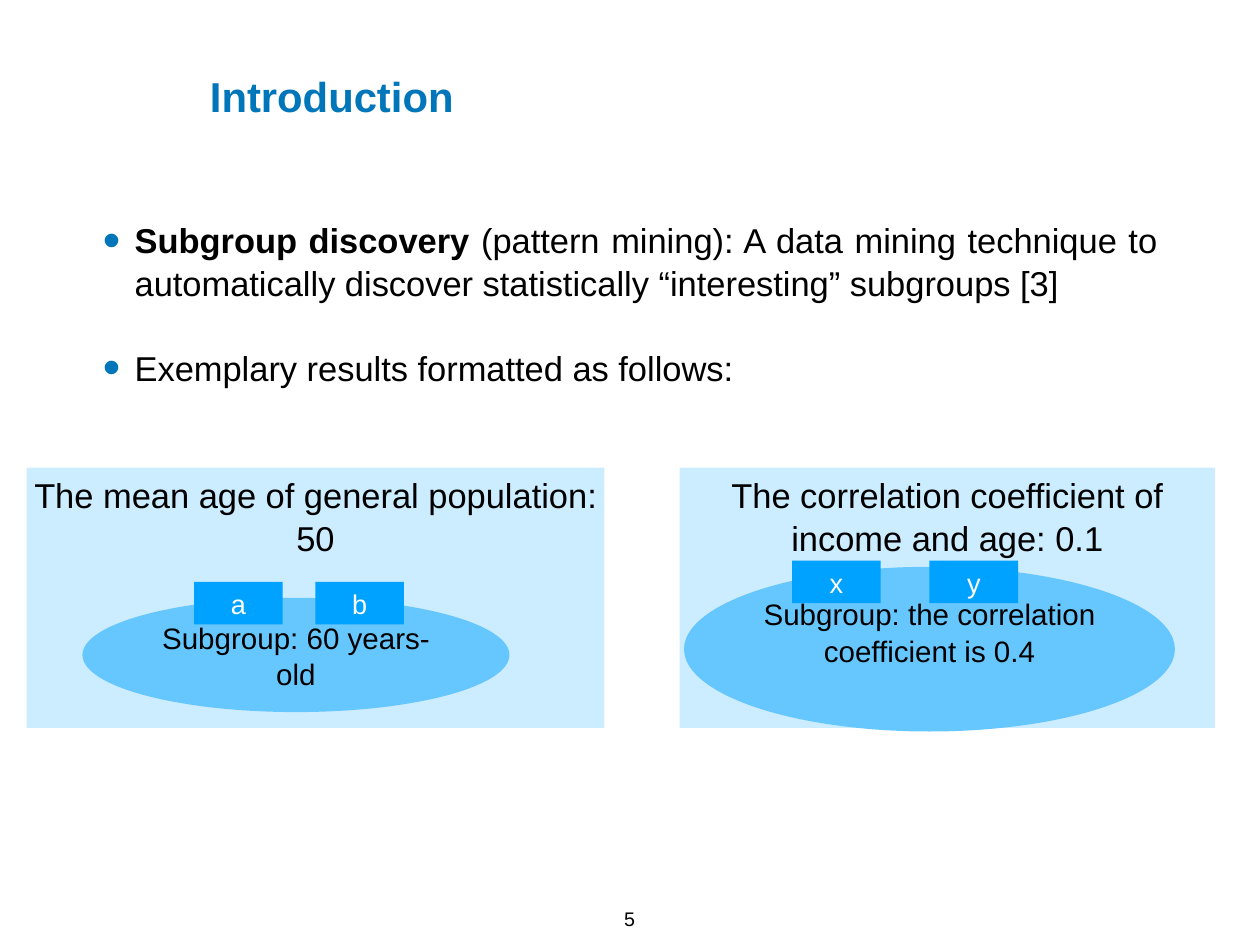
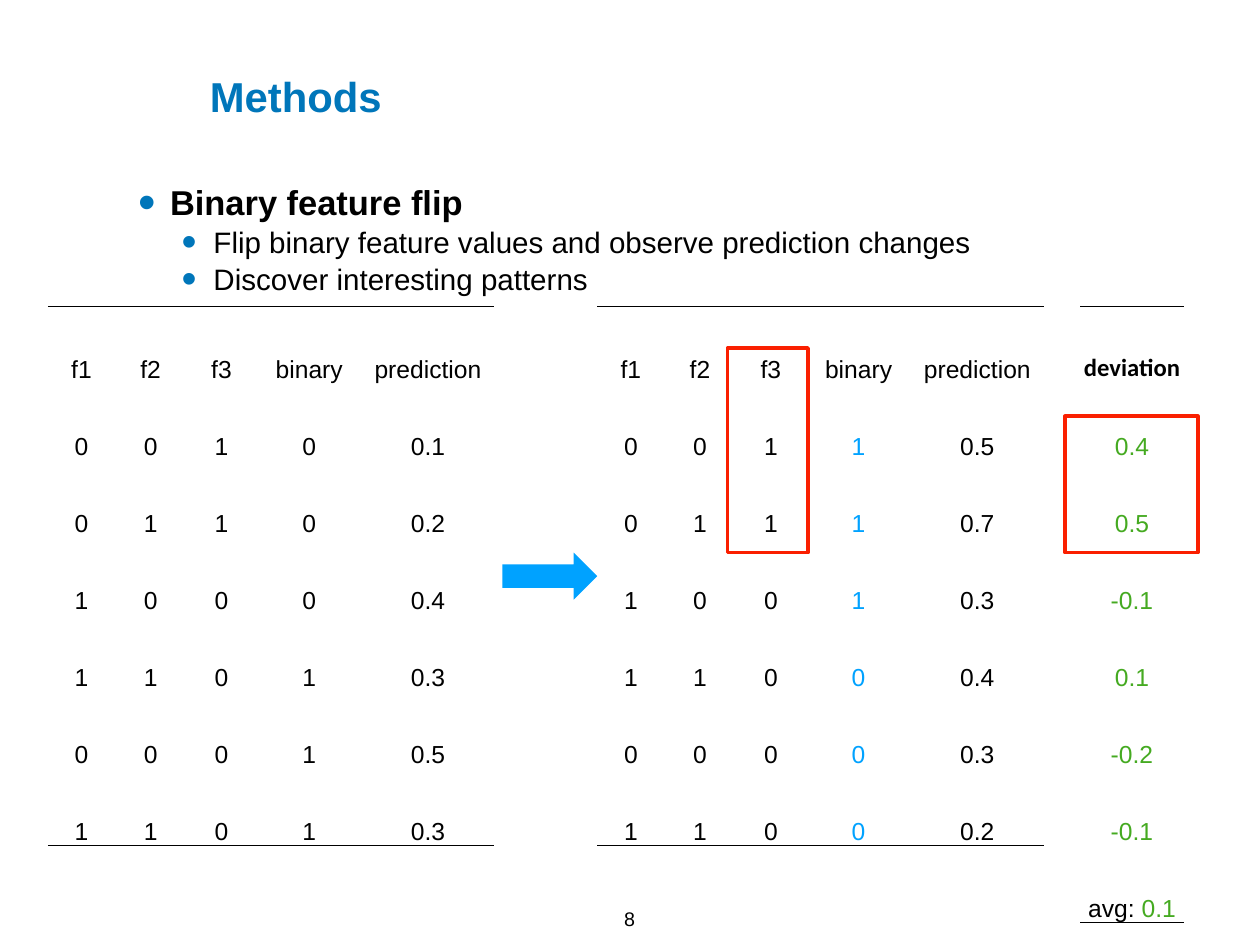
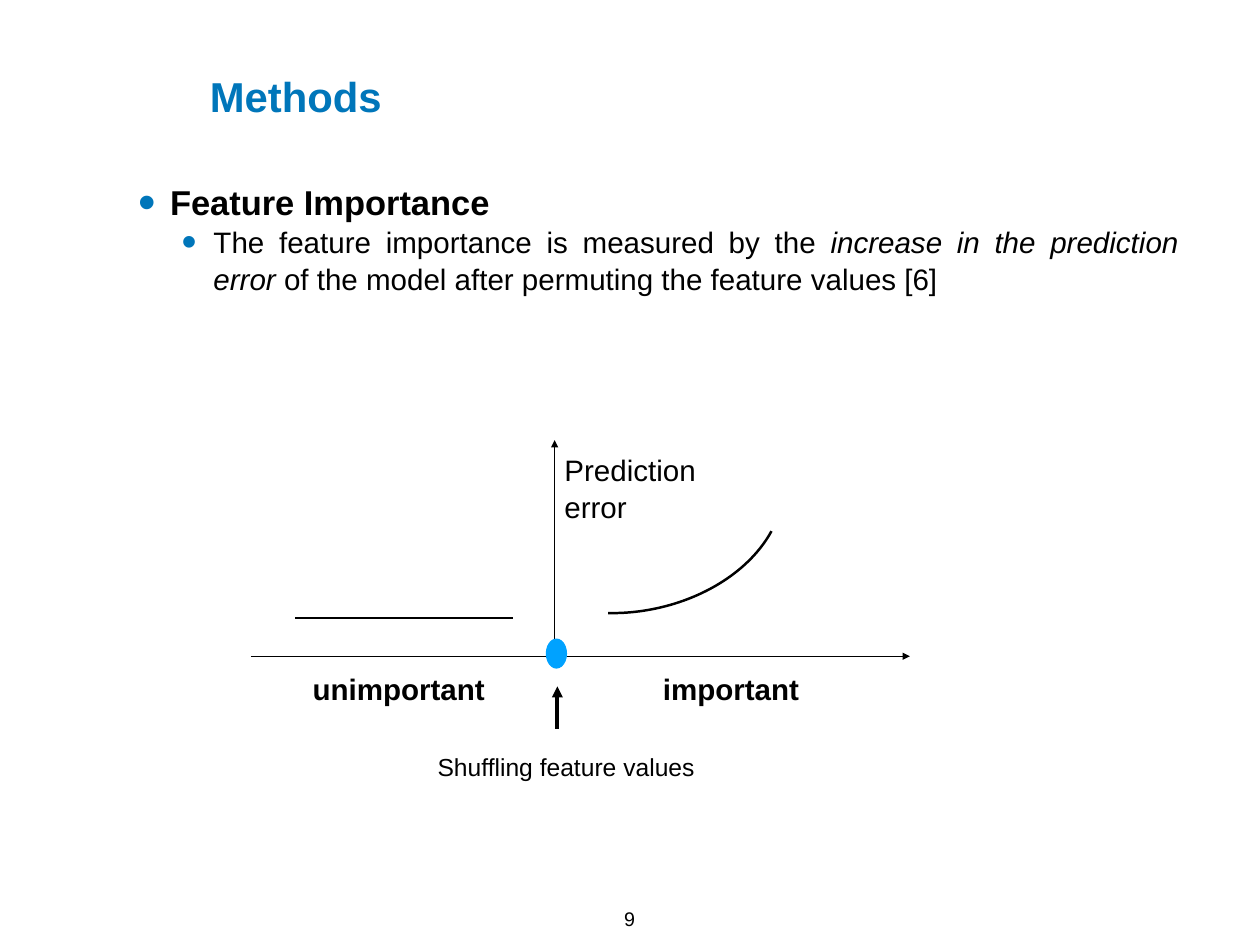
"""Build three slides on subgroup discovery and feature methods."""
import pptx
import pptx.dml.color
import pptx.enum.shapes
import pptx.enum.text
import pptx.oxml
import pptx.oxml.ns
import pptx.util
import lxml.etree

Inches = pptx.util.Inches
Pt = pptx.util.Pt
SHAPE = pptx.enum.shapes.MSO_SHAPE
ALIGN = pptx.enum.text.PP_ALIGN
ANCHOR = pptx.enum.text.MSO_ANCHOR
INK = {"title": "0076BA", "text": "000000", "pale": "CCECFF", "mid": "66C7FF",
       "blue": "00A2FF", "white": "FFFFFF", "green": "45AA21", "red": "FA1F00"}
FONT = "Arial"
INSET = 0.06
LEADING = 1.04
PLAIN = "{2D5ABB26-0587-4C30-8999-92F81FD0307C}"
ROW = 0.87
COLS = [0.76, 0.8, 0.8, 1.18, 1.5]
HEADS = ["f1", "f2", "f3", "binary", "prediction"]
FLAGS = [(0, 0, 1), (0, 1, 1), (1, 0, 0), (1, 1, 0), (0, 0, 0), (1, 1, 0)]
BEFORE = [(0, "0.1"), (0, "0.2"), (0, "0.4"), (1, "0.3"), (1, "0.5"), (1, "0.3")]
AFTER = [(1, "0.5"), (1, "0.7"), (1, "0.3"), (0, "0.4"), (0, "0.3"), (0, "0.2")]
SHIFTS = ["0.4", "0.5", "-0.1", "0.1", "-0.2", "-0.1"]


def paint(name):
    return pptx.dml.color.RGBColor.from_string(INK[name])


def node(parent, tag, **attrs):
    return lxml.etree.SubElement(parent, pptx.oxml.ns.qn(tag), attrs)


def add_run(para, text, size, ink="text", bold=False, slant=False, font=FONT):
    run = para.add_run()
    run.text = text
    face = run.font
    face.name, face.size, face.bold, face.italic = font, Pt(size), bold, slant
    face.color.rgb = paint(ink)


def set_frame(frame, wrap, anchor, base=INSET):
    frame.word_wrap = wrap
    frame.vertical_anchor = anchor
    frame.margin_left = frame.margin_right = frame.margin_top = Inches(INSET)
    frame.margin_bottom = Inches(base)


def add_text(slide, at, lines, size, align=ALIGN.CENTER, wrap=False,
             anchor=ANCHOR.MIDDLE, **style):
    frame = slide.shapes.add_textbox(*map(Inches, at)).text_frame
    set_frame(frame, wrap, anchor)
    for i, line in enumerate(lines):
        para = frame.add_paragraph() if i else frame.paragraphs[0]
        para.alignment = align
        para.line_spacing = LEADING
        add_run(para, line, size, **style)


def add_points(slide, at, points):
    frame = slide.shapes.add_textbox(*map(Inches, at)).text_frame
    set_frame(frame, True, ANCHOR.TOP)
    for i, (level, gap, runs) in enumerate(points):
        para = frame.add_paragraph() if i else frame.paragraphs[0]
        para.alignment = ALIGN.JUSTIFY
        para.level = level
        para.line_spacing = LEADING
        para.space_before = Pt(gap)
        props = para._p.get_or_add_pPr()
        props.set("marL", str(Inches((0.36, 0.85)[level])))
        props.set("indent", str(Inches(-0.36)))
        node(node(props, "a:buClr"), "a:srgbClr", val=INK["title"])
        node(props, "a:buSzPct", val="145000")
        node(props, "a:buFont", typeface=FONT)
        node(props, "a:buChar", char="•")
        for text, style in runs:
            add_run(para, text, (28, 24)[level], **style)


def add_form(slide, kind, at, fill=None, line=None, width=1):
    form = slide.shapes.add_shape(kind, *map(Inches, at))
    form.shadow.inherit = False
    if fill:
        form.fill.solid()
        form.fill.fore_color.rgb = paint(fill)
    else:
        form.fill.background()
    if line:
        form.line.color.rgb = paint(line)
        form.line.width = Pt(width)
    else:
        form.line.fill.background()
    return form


def add_label(slide, kind, at, fill, text, size, ink="text",
              anchor=ANCHOR.MIDDLE, base=INSET):
    frame = add_form(slide, kind, at, fill).text_frame
    set_frame(frame, True, anchor, base)
    para = frame.paragraphs[0]
    para.alignment = ALIGN.CENTER
    para.line_spacing = LEADING
    add_run(para, text, size, ink)


def add_line(slide, start, end, width, arrow=True):
    line = slide.shapes.add_connector(
        pptx.enum.shapes.MSO_CONNECTOR.STRAIGHT, *map(Inches, start + end))
    line.line.color.rgb = paint("text")
    line.line.width = Pt(width)
    if arrow:
        node(line.line._get_or_add_ln(), "a:tailEnd", type="triangle")
    node(line._element.spPr, "a:effectLst")


def add_rule(cell, side):
    props = cell._tc.get_or_add_tcPr()
    rule = node(props, "a:" + side, w=str(Pt(1)))
    node(node(rule, "a:solidFill"), "a:srgbClr", val=INK["text"])
    props.insert(0, rule)


def add_grid(slide, left, cols, rows):
    """Add a table whose cells are lists of (text, style) runs."""
    table = slide.shapes.add_table(
        len(rows), len(cols), Inches(left), Inches(3.46),
        Inches(sum(cols)), Inches(ROW * len(rows))).table
    table.first_row = table.horz_banding = False
    table._tbl.tblPr.find(pptx.oxml.ns.qn("a:tableStyleId")).text = PLAIN
    for col, width in zip(table.columns, cols):
        col.width = Inches(width)
    for i, row in enumerate(rows):
        table.rows[i].height = Inches(ROW)
        for j, runs in enumerate(row):
            cell = table.cell(i, j)
            cell.fill.background()
            cell.vertical_anchor = ANCHOR.BOTTOM
            cell.margin_left = cell.margin_right = cell.margin_top = Inches(0.01)
            cell.margin_bottom = 0
            para = cell.text_frame.paragraphs[0]
            para.alignment = ALIGN.CENTER
            for text, style in runs:
                add_run(para, text, 20, **style)
            if i == 0:
                add_rule(cell, "lnT")
            if i == len(rows) - 1:
                add_rule(cell, "lnB")


def flip_rows(scores, ink):
    rows = [[[(head, {})] for head in HEADS]]
    for flags, (bit, score) in zip(FLAGS, scores):
        row = [[(str(flag), {})] for flag in flags]
        rows.append(row + [[(str(bit), {"ink": ink})], [(score, {})]])
    return rows


def start_slide(deck, title, number):
    slide = deck.slides.add_slide(deck.slide_layouts[6])
    add_text(slide, (2.31, 0.74, 2.87, 0.67), [title], 34, ALIGN.LEFT,
             ink="title", bold=True)
    add_text(slide, (6.98, 10.17, 0.25, 0.35), [str(number)], 16,
             anchor=ANCHOR.TOP)
    return slide


def draw_intro(deck):
    slide = start_slide(deck, "Introduction", 5)
    add_points(slide, (1.1, 2.4, 12.02, 2), [
        (0, 0, [("Subgroup discovery", {"bold": True}),
                (" (pattern mining): A data mining technique to automatically "
                 "discover statistically “interesting” subgroups [3]", {})]),
        (0, 33.6, [("Exemplary results formatted as follows:", {})])])
    for left, width, text in (
            (0.3, 6.52, "The mean age of general population: 50"),
            (7.67, 6.04, "The correlation coefficient of income and age: 0.1")):
        add_label(slide, SHAPE.RECTANGLE, (left, 5.28, width, 2.94), "pale",
                  text, 28, anchor=ANCHOR.TOP)
    for at, text, base in (
            ((0.93, 6.75, 4.82, 1.29), "Subgroup: 60 years-old", INSET),
            ((7.72, 6.4, 5.54, 1.86),
             "Subgroup: the correlation coefficient is 0.4", 0.46)):
        add_label(slide, SHAPE.OVAL, at, "mid", text, 24, base=base)
    for left, top, name in ((2.19, 6.57, "a"), (3.56, 6.57, "b"),
                            (8.94, 6.33, "x"), (10.49, 6.33, "y")):
        add_label(slide, SHAPE.RECTANGLE, (left, top, 1, 0.48), "blue",
                  name, 22, "white")


def draw_flip(deck):
    slide = start_slide(deck, "Methods", 8)
    add_points(slide, (1.5, 1.97, 11.86, 1.4), [
        (0, 0, [("Binary feature flip", {"bold": True})]),
        (1, 0, [("Flip binary feature values and observe prediction changes", {})]),
        (1, 0, [("Discover interesting patterns", {})])])
    green = {"ink": "green"}
    add_grid(slide, 0.54, COLS, flip_rows(BEFORE, "text"))
    add_grid(slide, 6.74, COLS, flip_rows(AFTER, "blue"))
    add_grid(slide, 12.19, [1.17],
             [[[("deviation", {"bold": True, "font": "Calibri"})]]]
             + [[[(shift, green)]] for shift in SHIFTS]
             + [[[("avg: ", {}), ("0.1", green)]]])
    add_form(slide, SHAPE.RIGHT_ARROW, (5.67, 6.24, 1.07, 0.53), "blue")
    for at in ((12.02, 4.7, 1.5, 1.54), (8.21, 3.93, 0.91, 2.31)):
        add_form(slide, SHAPE.RECTANGLE, at, line="red", width=3)


def draw_weight(deck):
    slide = start_slide(deck, "Methods", 9)
    add_points(slide, (1.5, 1.97, 11.86, 1.4), [
        (0, 0, [("Feature Importance", {"bold": True})]),
        (1, 0, [("The feature importance is measured by the ", {}),
                ("increase in the prediction error", {"slant": True}),
                (" of the model after permuting the feature values [6]", {})])])
    curve = add_form(slide, SHAPE.ARC, (5.84, 3.89, 2.53, 3.5),
                     line="text", width=2)
    curve.rotation = 79.8
    curve.adjustments[0] = 175.67
    curve.adjustments[1] = 12.53
    add_line(slide, (2.83, 7.41), (10.27, 7.41), 0.75)
    add_line(slide, (6.26, 7.41), (6.26, 4.97), 0.75)
    add_line(slide, (6.29, 8.23), (6.29, 7.75), 3)
    add_form(slide, SHAPE.FLOWCHART_CONNECTOR, (6.16, 7.21, 0.24, 0.34), "blue")
    add_line(slide, (3.33, 6.98), (5.79, 6.98), 2, arrow=False)
    for left, width, text in ((3.46, 2.08, "unimportant"),
                              (7.41, 1.68, "important")):
        add_text(slide, (left, 7.51, width, 0.52), [text], 24, bold=True)
    add_text(slide, (4.87, 8.42, 3.04, 0.45), ["Shuffling feature values"], 20)
    add_text(slide, (6.31, 5.04, 2.29, 0.92), ["Prediction", "error"], 24,
             ALIGN.LEFT, wrap=True)


def main():
    deck = pptx.Presentation()
    deck.slide_width, deck.slide_height = Inches(14.22), Inches(10.67)
    draw_intro(deck)
    draw_flip(deck)
    draw_weight(deck)
    deck.save("out.pptx")


if __name__ == "__main__":
    main()
